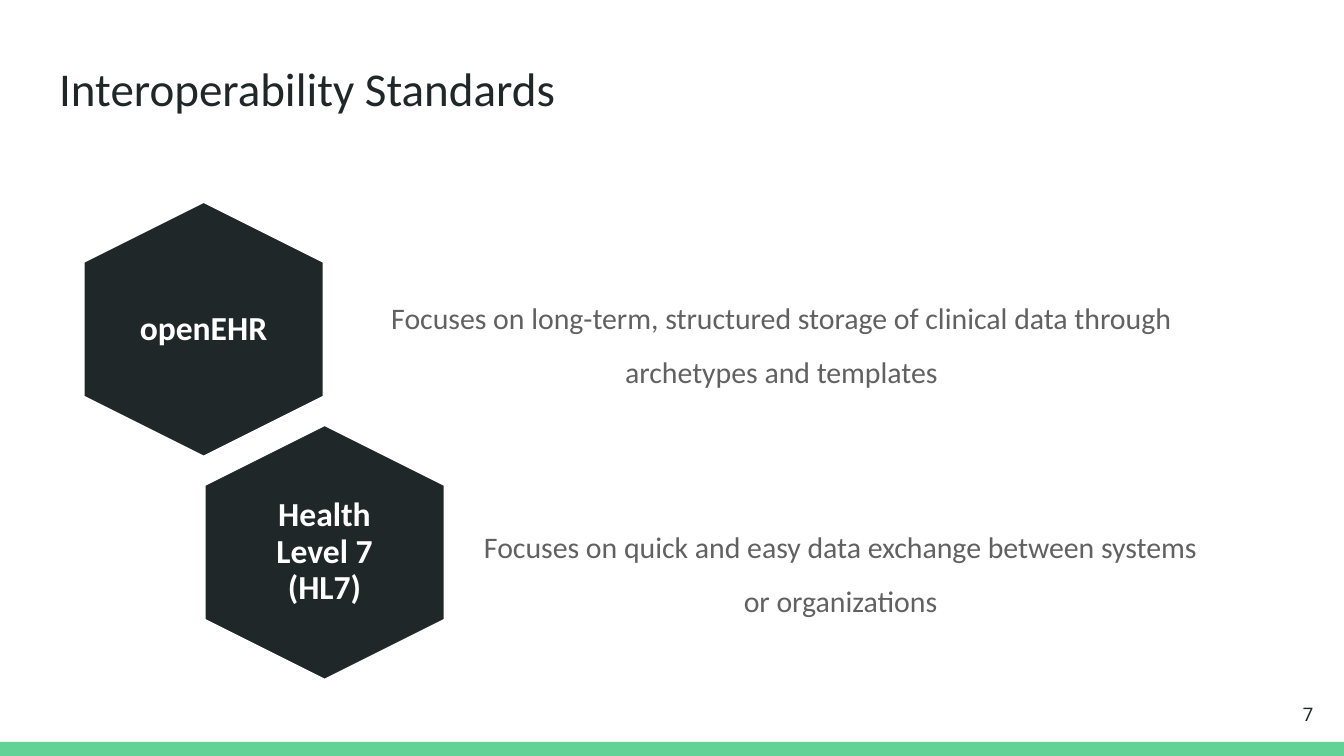
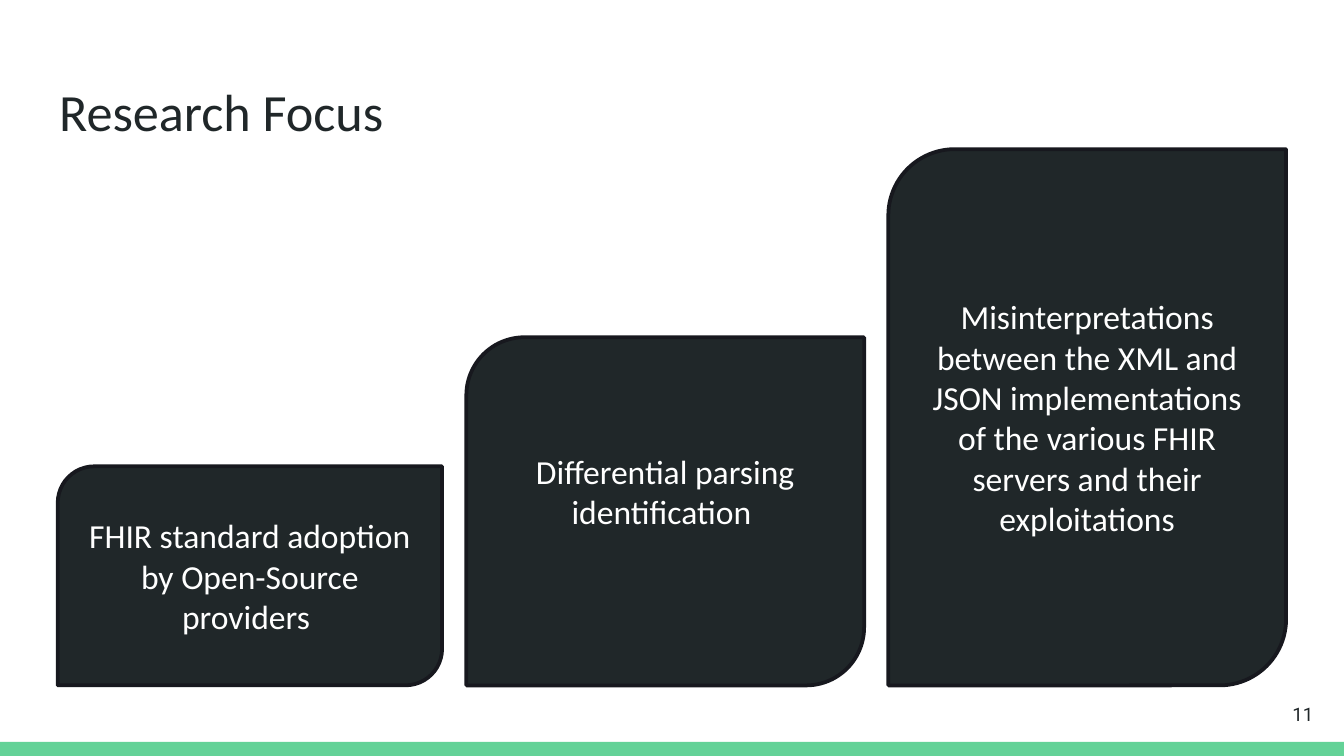
from pptx import Presentation
from pptx.dml.color import RGBColor
from pptx.enum import shapes, text
from pptx.util import Inches, Pt

DARK = RGBColor(0x20, 0x27, 0x29)
EDGE = RGBColor(0x17, 0x18, 0x1E)
GREEN = RGBColor(0x63, 0xD2, 0x97)
GREY = RGBColor(0x61, 0x61, 0x61)
WHITE = RGBColor(0xFF, 0xFF, 0xFF)
FONT = "Calibri"
SHAPE = shapes.MSO_SHAPE
ALIGN = text.PP_ALIGN
MID = text.MSO_ANCHOR.MIDDLE
TOP = text.MSO_ANCHOR.TOP

# Content: standard, hexagon left and top, note, note box
STANDARDS = [
    ("openEHR", 0.56, 1.55,
     "Focuses on long-term, structured storage of clinical data through "
     "archetypes and templates", (2.41, 2, 6.69, 0.81)),
    ("Health Level 7 (HL7)", 1.46, 3.21,
     "Focuses on quick and easy data exchange between systems or "
     "organizations", (3.28, 3.7, 5.83, 0.81)),
]
# Content: step text, left, width, height, bottom inset
STEPS = [
    ("FHIR standard adoption by Open-Source providers ", 0.43, 2.86, 1.63, 0.05),
    ("Differential parsing identification ", 3.47, 2.96, 2.59, 0.35),
    ("Misinterpretations between the XML and JSON implementations of the "
     "various FHIR servers and their exploitations", 6.61, 2.96, 3.99, 0.05),
]
BASE = 5.1
HEX = (1.91, 1.8)
LABEL = (1.24, 1.31)


def inches(box):
    return [Inches(v) for v in box]


def write(shape, words, size, color, align=ALIGN.CENTER, anchor=MID,
          inset=0.1, font=FONT, bold=False):
    frame = shape.text_frame
    frame.word_wrap = True
    frame.auto_size = text.MSO_AUTO_SIZE.NONE
    frame.vertical_anchor = anchor
    frame.margin_left = frame.margin_right = Inches(inset)
    frame.margin_top = frame.margin_bottom = Inches(inset)
    frame.text = words
    para = frame.paragraphs[0]
    para.alignment = align
    para.font.name, para.font.size = font, Pt(size)
    para.font.bold, para.font.color.rgb = bold, color
    return para


def draw(slide, kind, box, fill, line=None):
    shape = slide.shapes.add_shape(kind, *inches(box))
    shape.shadow.inherit = False
    shape.fill.solid()
    shape.fill.fore_color.rgb = fill
    if line is None:
        shape.line.fill.background()
    else:
        shape.line.color.rgb, shape.line.width = line, Pt(2)
    return shape


def label(slide, box, words, size, color, **style):
    return write(slide.shapes.add_textbox(*inches(box)), words, size, color,
                 **style)


# Shared frame: title, green band, page number
def start(deck, name, box, size, page):
    slide = deck.slides.add_slide(deck.slide_layouts[5])
    title = slide.shapes.title
    title.left, title.top, title.width, title.height = inches(box)
    write(title, name, size, DARK, align=ALIGN.LEFT, anchor=TOP)
    draw(slide, SHAPE.RECTANGLE, (0, 5.52, 10, 0.11), GREEN)
    label(slide, (9.27, 5.1, 0.6, 0.43), page, 10, DARK, align=ALIGN.RIGHT,
          font="Roboto")
    return slide


def standards(deck):
    slide = start(deck, "Interoperability Standards",
                  (0.34, 0.34, 9.32, 0.63), 25.2, "7")
    for name, left, top, note, box in STANDARDS:
        cell = draw(slide, SHAPE.HEXAGON, (left, top, *HEX), DARK, WHITE)
        cell.rotation = 90
        cell.adjustments[0] = 0.25
        # The name sits at the centre of its hexagon
        spot = (left + (HEX[0] - LABEL[0]) / 2, top + (HEX[1] - LABEL[1]) / 2)
        para = label(slide, (*spot, *LABEL), name, 18, WHITE, inset=0,
                     bold=True)
        para.line_spacing = 0.9
        para = label(slide, box, note, 16, GREY, anchor=TOP)
        para.line_spacing = 1.5
        props = para._p.get_or_add_pPr()
        props.set("marL", str(Inches(0.12)))
        props.set("indent", "0")


def focus(deck):
    slide = start(deck, "Research Focus", (0.34, 0.49, 2.86, 1.17), 28, "11")
    # Steps rise from one base line
    for words, left, width, height, low in STEPS:
        step = draw(slide, SHAPE.ROUND_2_DIAG_RECTANGLE,
                    (left, BASE - height, width, height), DARK, EDGE)
        write(step, words, 18, WHITE)
        step.text_frame.margin_top = Inches(0.05)
        step.text_frame.margin_bottom = Inches(low)


def main():
    deck = Presentation()
    # Widescreen, 16 to 9
    deck.slide_width = Inches(10)
    deck.slide_height = Inches(10 * 9 / 16)
    standards(deck)
    focus(deck)
    deck.save("out.pptx")


if __name__ == "__main__":
    main()
